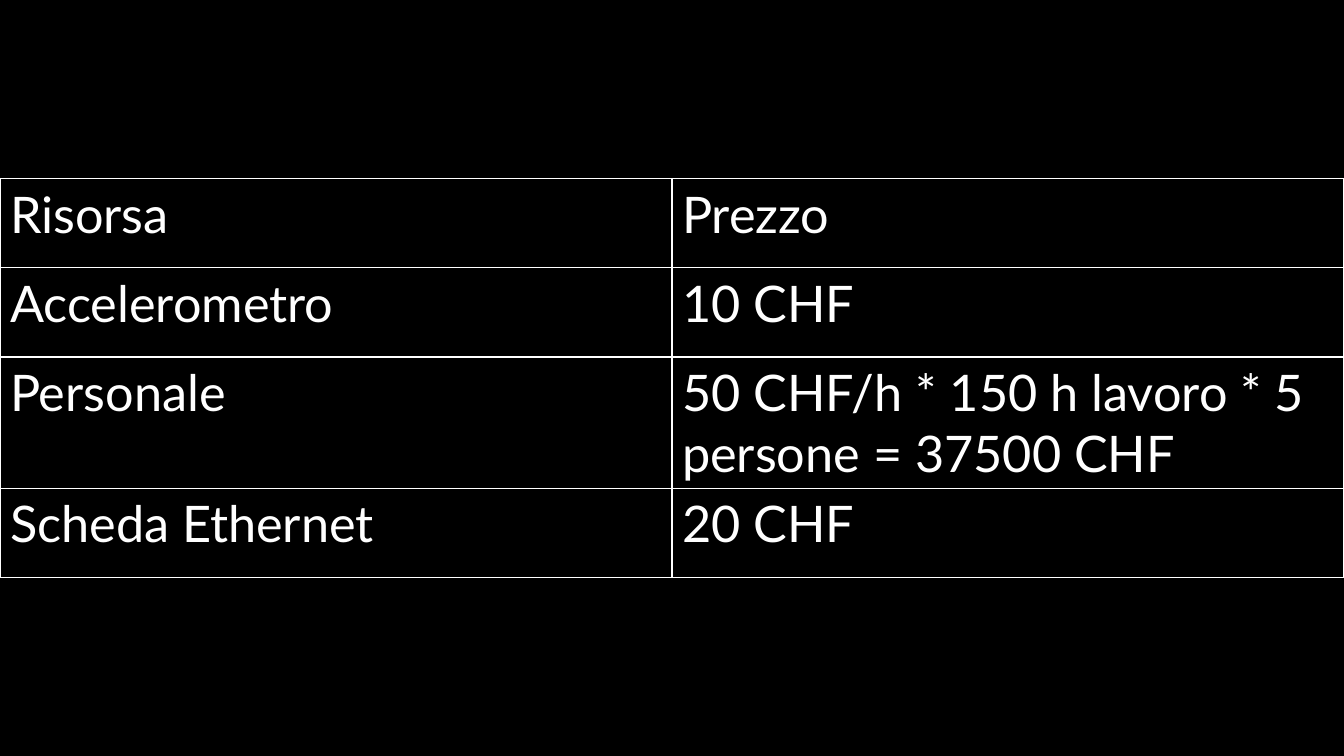
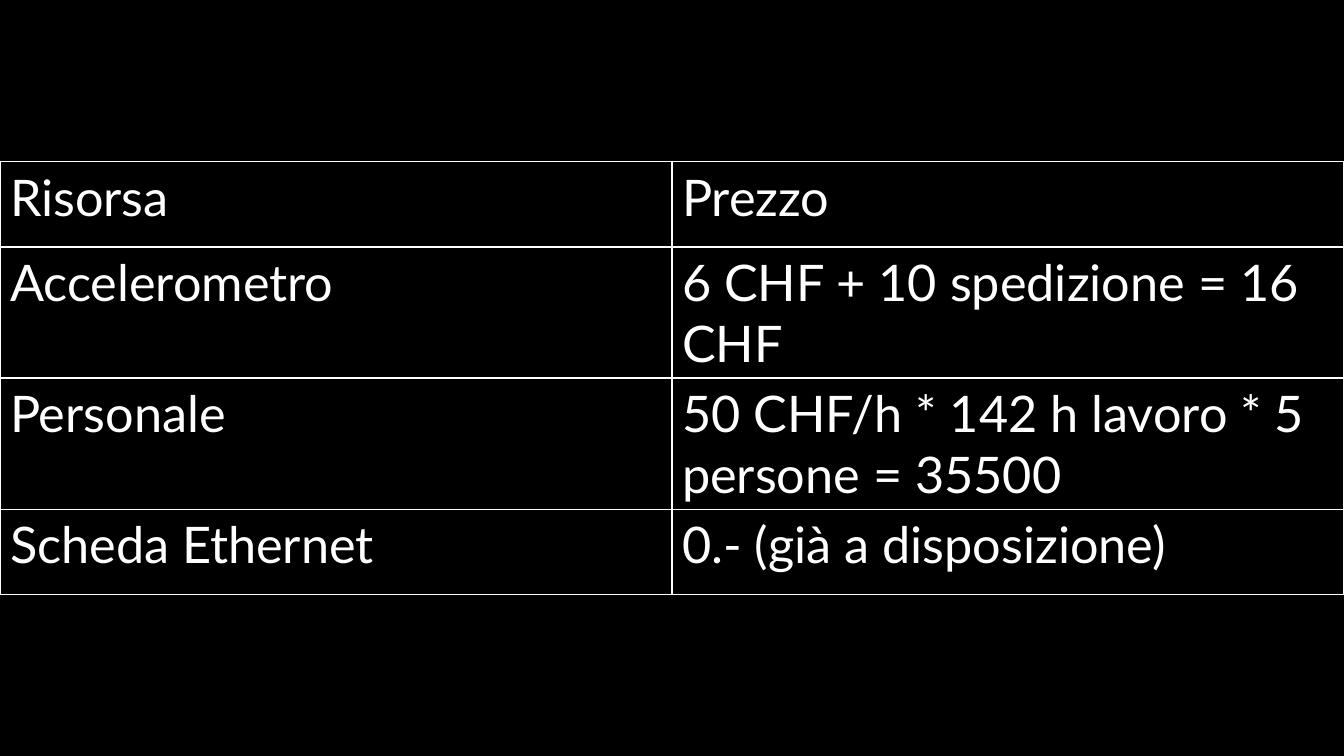
import lxml.etree
import pptx
import pptx.dml.color
import pptx.oxml.ns
import pptx.util

Pt = pptx.util.Pt

COLORS = {"background": "000000", "text": "FFFFFF", "border": "FFFFFF"}
FONT = "Lato"
FONT_SIZE = 36
PAGE_WIDTH, PAGE_HEIGHT = 960, 540
TWO_LINE_HEIGHT = 93.6
HEADER = ("Risorsa", "Prezzo")
RESOURCES = ("Accelerometro", "Personale", "Scheda Ethernet")


def color(name):
    return pptx.dml.color.RGBColor.from_string(COLORS[name])


def add_page(deck):
    page = deck.slides.add_slide(deck.slide_layouts[6])
    fill = page.background.fill
    fill.solid()
    fill.fore_color.rgb = color("background")
    return page


def add_borders(cell):
    properties = cell._tc.get_or_add_tcPr()
    qn = pptx.oxml.ns.qn
    for side in ("a:lnL", "a:lnR", "a:lnT", "a:lnB"):
        line = lxml.etree.SubElement(properties, qn(side), w=str(Pt(1)))
        solid = lxml.etree.SubElement(line, qn("a:solidFill"))
        lxml.etree.SubElement(solid, qn("a:srgbClr"), val=COLORS["border"])


def fill_cell(cell, text):
    add_borders(cell)
    cell.fill.background()
    cell.text = text
    para = cell.text_frame.paragraphs[0]
    para.font.name = FONT
    para.font.size = Pt(FONT_SIZE)
    para.font.color.rgb = color("text")


def add_price_table(page, prices, row_heights):
    rows = [HEADER, *zip(RESOURCES, prices)]
    height = sum(row_heights)
    # The table spans the page and is centred vertically
    frame = page.shapes.add_table(
        len(rows), len(HEADER), Pt(0), Pt((PAGE_HEIGHT - height) / 2),
        Pt(PAGE_WIDTH), Pt(height))
    table = frame.table
    table.first_row = False
    table.horz_banding = False
    for row, row_height, texts in zip(table.rows, row_heights, rows):
        row.height = Pt(row_height)
        for cell, text in zip(row.cells, texts):
            fill_cell(cell, text)


def main():
    deck = pptx.Presentation()
    deck.slide_width, deck.slide_height = Pt(PAGE_WIDTH), Pt(PAGE_HEIGHT)

    # Planned costs
    add_price_table(
        add_page(deck),
        ("10 CHF", "50 CHF/h * 150 h lavoro * 5 persone = 37500 CHF", "20 CHF"),
        (63.8, 63.8, TWO_LINE_HEIGHT, 63.8))

    # Actual costs
    add_price_table(
        add_page(deck),
        ("6 CHF + 10 spedizione = 16 CHF",
         "50 CHF/h * 142 h lavoro * 5 persone = 35500",
         "0.- (già a disposizione)"),
        (61.2, TWO_LINE_HEIGHT, TWO_LINE_HEIGHT, 61.2))

    deck.save("out.pptx")


if __name__ == "__main__":
    main()
